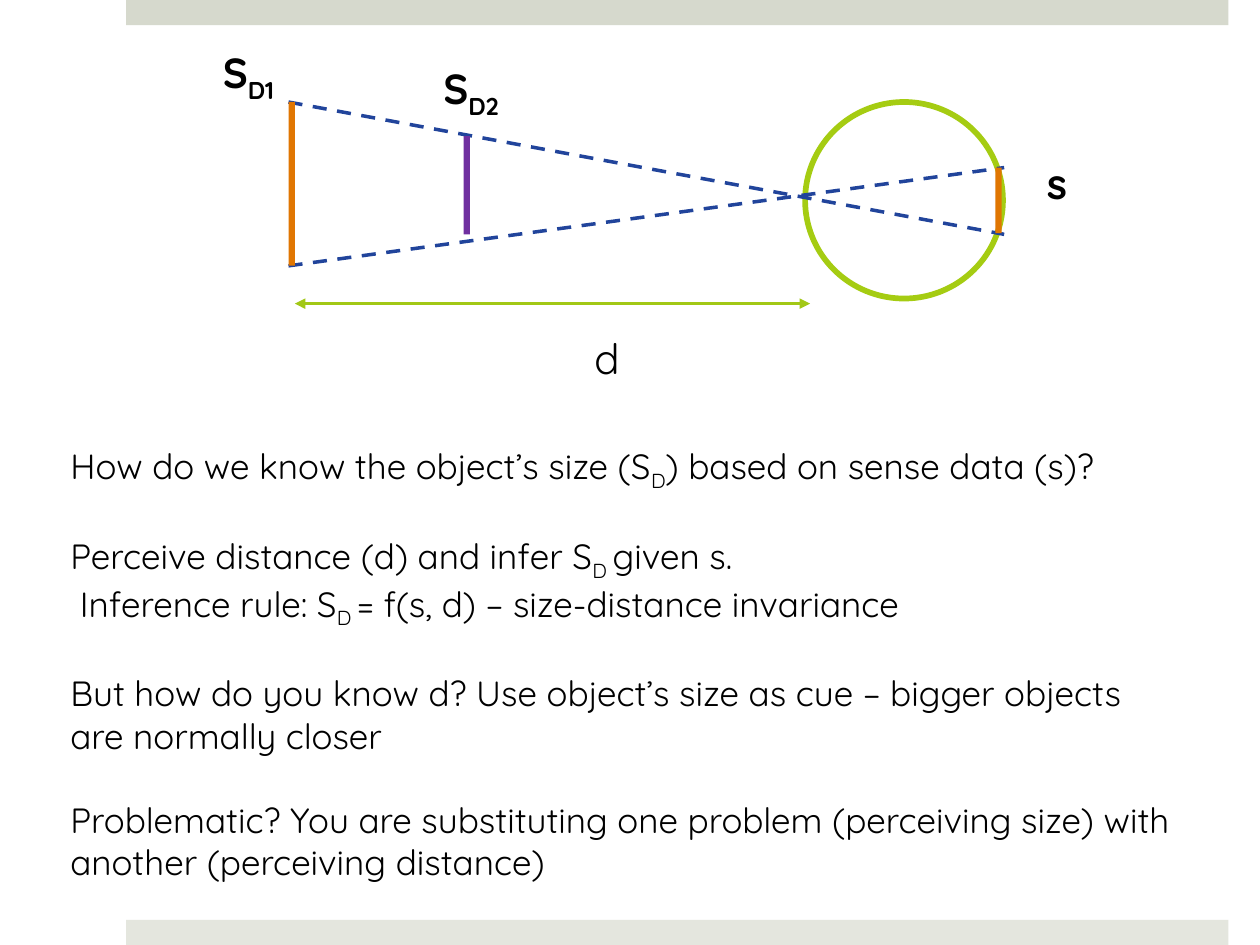
from lxml.etree import SubElement
from pptx import Presentation
from pptx.dml.color import RGBColor
from pptx.enum.dml import MSO_LINE
from pptx.enum.shapes import MSO_CONNECTOR, MSO_SHAPE
from pptx.enum.text import MSO_AUTO_SIZE
from pptx.oxml.ns import qn
from pptx.util import Inches, Pt

FONT = "Quicksand"
COLORS = {
    "top band": "D6D9CD",
    "bottom band": "E4E6DE",
    "eye": "A5CC12",
    "ray": "21449B",
    "object": "E07602",
    "second object": "7030A0",
    "distance": "A2C816",
    "text": "000000",
}

# Pieces of a paragraph alternate between normal text and subscript.
EXPLANATION = [
    (0, ["How do we know the object’s size (S", "D", ") based on sense data (s)?"]),
    (24, ["Perceive distance (d) and infer S", "D ", "given s."]),
    (0, [" Inference rule: S", "D ", "= f(s, d) – size-distance invariance"]),
    (24, ["But how do you know d? Use object’s size as cue – "
          "bigger objects are normally closer"]),
    (24, ["Problematic? You are substituting one problem (perceiving size) "
          "with another (perceiving distance)"]),
]


def color(name):
    return RGBColor.from_string(COLORS[name])


def add_bar(page, name, left, top, width, height):
    bar = page.shapes.add_shape(MSO_SHAPE.RECTANGLE, Inches(left), Inches(top),
                                Inches(width), Inches(height))
    bar.shadow.inherit = False
    bar.fill.solid()
    bar.fill.fore_color.rgb = color(name)
    bar.line.fill.background()


def add_eye(page, left, top, width, height):
    eye = page.shapes.add_shape(MSO_SHAPE.OVAL, Inches(left), Inches(top),
                                Inches(width), Inches(height))
    eye.shadow.inherit = False
    eye.fill.background()
    eye.line.color.rgb = color("eye")
    eye.line.width = Pt(3.25)


def add_line(page, name, start, end, dashed=False, arrows=False):
    line = page.shapes.add_connector(
        MSO_CONNECTOR.STRAIGHT, *(Inches(value) for value in (*start, *end)))
    line.line.color.rgb = color(name)
    line.line.width = Pt(2)
    if dashed:
        line.line.dash_style = MSO_LINE.DASH
    if arrows:
        outline = line.line._get_or_add_ln()
        for tag in ("a:headEnd", "a:tailEnd"):
            SubElement(outline, qn(tag), type="triangle")
    SubElement(line._element.spPr, qn("a:effectLst"))


def add_text(page, paragraphs, left, top, width, height, size, bold=False, wrap=False):
    """Add paragraphs given as (space before in points, alternating pieces)."""
    box = page.shapes.add_textbox(Inches(left), Inches(top), Inches(width), Inches(height))
    frame = box.text_frame
    frame.word_wrap = wrap
    frame.auto_size = MSO_AUTO_SIZE.SHAPE_TO_FIT_TEXT
    for number, (gap, pieces) in enumerate(paragraphs):
        para = frame.add_paragraph() if number else frame.paragraphs[0]
        para.space_before = Pt(gap)
        para.font.name = FONT
        para.font.size = Pt(size)
        para.font.bold = bold
        para.font.color.rgb = color("text")
        for position, piece in enumerate(pieces):
            span = para.add_run()
            span.text = piece
            if position % 2:
                span._r.get_or_add_rPr().set("baseline", "-25000")


def add_label(page, pieces, left, top, width, bold=True):
    add_text(page, [(0, pieces)], left, top, width, 0.5, size=24, bold=bold)


def add_diagram(page):
    add_eye(page, 6.39, 0.81, 1.57, 1.56)
    add_line(page, "ray", (2.29, 0.81), (7.97, 1.86), dashed=True)
    add_line(page, "ray", (2.29, 2.11), (7.97, 1.33), dashed=True)
    add_bar(page, "object", 2.29, 0.81, 0.05, 1.3)
    add_bar(page, "object", 7.9, 1.33, 0.05, 0.52)
    add_bar(page, "second object", 3.68, 1.08, 0.05, 0.78)
    add_label(page, ["S", "D1"], 1.67, 0.32, 0.66)
    add_label(page, ["S", "D2"], 3.42, 0.45, 0.66)
    add_label(page, ["s"], 8.21, 1.2, 0.35)
    add_line(page, "distance", (2.34, 2.41), (6.43, 2.41), arrows=True)
    add_label(page, ["d"], 4.62, 2.59, 0.43, bold=False)


def main():
    deck = Presentation()
    deck.slide_width, deck.slide_height = Inches(10), Inches(7.5)
    page = deck.slides.add_slide(deck.slide_layouts[6])
    add_bar(page, "top band", 1, 0, 8.75, 0.2)
    add_bar(page, "bottom band", 1, 7.3, 8.75, 0.2)
    add_diagram(page)
    add_text(page, EXPLANATION, 0.46, 3.48, 8.93, 3.47, size=20, wrap=True)
    deck.save("out.pptx")


if __name__ == "__main__":
    main()
